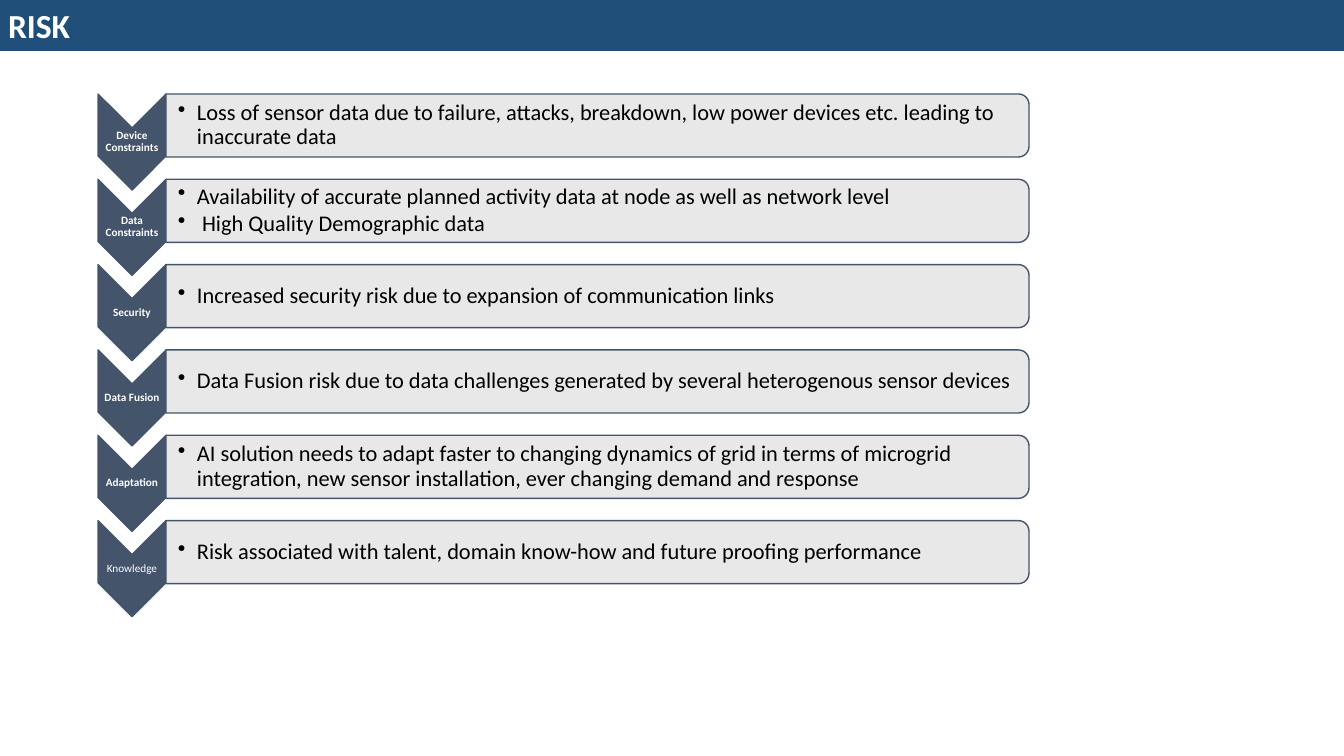
from dataclasses import dataclass

from lxml import etree
from pptx import Presentation
from pptx import util as u
from pptx.dml.color import RGBColor
from pptx.enum import shapes, text
from pptx.oxml.ns import qn

SCALE = 914400 / 100.8


@dataclass(frozen=True)
class Theme:
    """Colours, font and type sizes of the slide."""
    font: str = "Calibri"
    header: str = "1F4E79"
    accent: str = "44546A"
    band: str = "E7E6E6"
    light: str = "FFFFFF"
    dark: str = "000000"
    title_size: int = 24
    label_size: int = 8
    risk_size: int = 16
    band_opacity: int = 90000


THEME = Theme()

RISKS = [
    ("Device Constraints", True,
     ["Loss of sensor data due to failure, attacks, breakdown, low power devices etc. "
      "leading to inaccurate data"]),
    ("Data Constraints", True,
     ["Availability of accurate planned activity data at node as well as network level",
      " High Quality Demographic data"]),
    ("Security", True,
     ["Increased security risk due to expansion of communication links"]),
    ("Data Fusion", True,
     ["Data Fusion risk due to data challenges generated by several heterogenous "
      "sensor devices"]),
    ("Adaptation", True,
     ["AI solution needs to adapt faster to changing dynamics of grid in terms of microgrid "
      "integration, new sensor installation, ever changing demand and response"]),
    ("Knowledge", False,
     ["Risk associated with talent, domain know-how and future proofing performance"]),
]


def px(length):
    """Turn pixels into EMU."""
    return u.Emu(round(length * SCALE))


def add_run(paragraph, words, size, color, bold=False):
    """Add one formatted run to a paragraph."""
    run = paragraph.add_run()
    run.text = words
    run.font.name = THEME.font
    run.font.size = u.Pt(size)
    run.font.bold = bold
    run.font.color.rgb = RGBColor.from_string(color)


def set_frame(frame, left_inset, other_inset):
    """Wrap a text frame, centre it vertically and set its insets."""
    frame.word_wrap = True
    frame.auto_size = text.MSO_AUTO_SIZE.NONE
    frame.vertical_anchor = text.MSO_ANCHOR.MIDDLE
    frame.margin_left = px(left_inset)
    frame.margin_top = frame.margin_right = frame.margin_bottom = px(other_inset)


def add_text_box(slide, box, left_inset):
    """Add a text box and return its frame."""
    frame = slide.shapes.add_textbox(*map(px, box)).text_frame
    set_frame(frame, left_inset, 1)
    return frame


def add_turned(slide, preset, box, fill):
    """Add a preset shape turned a quarter clockwise so that it covers the box."""
    left, top, width, height = box
    turned_left = left + (width - height) / 2
    turned_top = top + (height - width) / 2
    shape = slide.shapes.add_shape(preset, *map(px, (turned_left, turned_top, height, width)))
    shape.rotation = 90
    shape.shadow.inherit = False
    shape.fill.solid()
    shape.fill.fore_color.rgb = RGBColor.from_string(fill)
    shape.line.color.rgb = RGBColor.from_string(THEME.accent)
    shape.line.width = u.Pt(1)
    return shape


def add_bullet(paragraph):
    """Give a paragraph a round bullet with a hanging indent."""
    props = paragraph._p.get_or_add_pPr()
    props.set("marL", str(px(19)))
    props.set("indent", str(px(-19)))
    etree.SubElement(props, qn("a:buChar")).set("char", "•")


def add_header(slide, box, words):
    """Turn the title placeholder into the header bar."""
    title = slide.shapes.title
    title.left, title.top, title.width, title.height = map(px, box)
    title.fill.solid()
    title.fill.fore_color.rgb = RGBColor.from_string(THEME.header)
    set_frame(title.text_frame, 8, 4)
    heading = title.text_frame.paragraphs[0]
    heading.alignment = text.PP_ALIGN.LEFT
    add_run(heading, words, THEME.title_size, THEME.light, bold=True)


def add_chevron(slide, box, label, bold):
    """Draw a downward chevron with its label in the middle."""
    left, top, width, height = box
    add_turned(slide, shapes.MSO_SHAPE.CHEVRON, box, THEME.accent)
    caption = add_text_box(slide, (left, top + height / 2 - 15, width, 30), 1).paragraphs[0]
    caption.alignment = text.PP_ALIGN.CENTER
    caption.line_spacing = 0.9
    add_run(caption, label, THEME.label_size, THEME.light, bold)


def add_band(slide, box, risks):
    """Draw a band rounded on the right that holds bulleted risks."""
    left, top, width, height = box
    band = add_turned(slide, shapes.MSO_SHAPE.ROUND_2_SAME_RECTANGLE, box, THEME.band)
    fill_color = band.fill._xPr.find(qn("a:solidFill"))[0]
    etree.SubElement(fill_color, qn("a:alpha")).set("val", str(THEME.band_opacity))
    frame = add_text_box(slide, (left, top + 3, width - 3, height - 6), 12)
    for index, risk in enumerate(risks):
        item = frame.add_paragraph() if index else frame.paragraphs[0]
        item.line_spacing = 0.9
        item.space_after = u.Pt(2.4)
        add_bullet(item)
        add_run(item, risk, THEME.risk_size, THEME.dark)


def add_risk_list(slide, box, rows):
    """Stack one chevron and one band per risk at an equal pitch."""
    left, top, width, height = box
    pitch = height / len(rows)
    chevron_width = 68
    for index, (label, bold, risks) in enumerate(rows):
        row_top = top + index * pitch
        add_chevron(slide, (left, row_top, chevron_width, 96), label, bold)
        add_band(slide, (left + chevron_width, row_top, width - chevron_width, 63), risks)


def main():
    """Build and save the risk slide."""
    deck = Presentation()
    deck.slide_width, deck.slide_height = px(1344), px(756)
    slide = deck.slides.add_slide(deck.slide_layouts[5])
    add_header(slide, (0, 0, 1344, 51), "RISK")
    add_risk_list(slide, (98, 94, 931, 512), RISKS)
    deck.save("out.pptx")


main()
